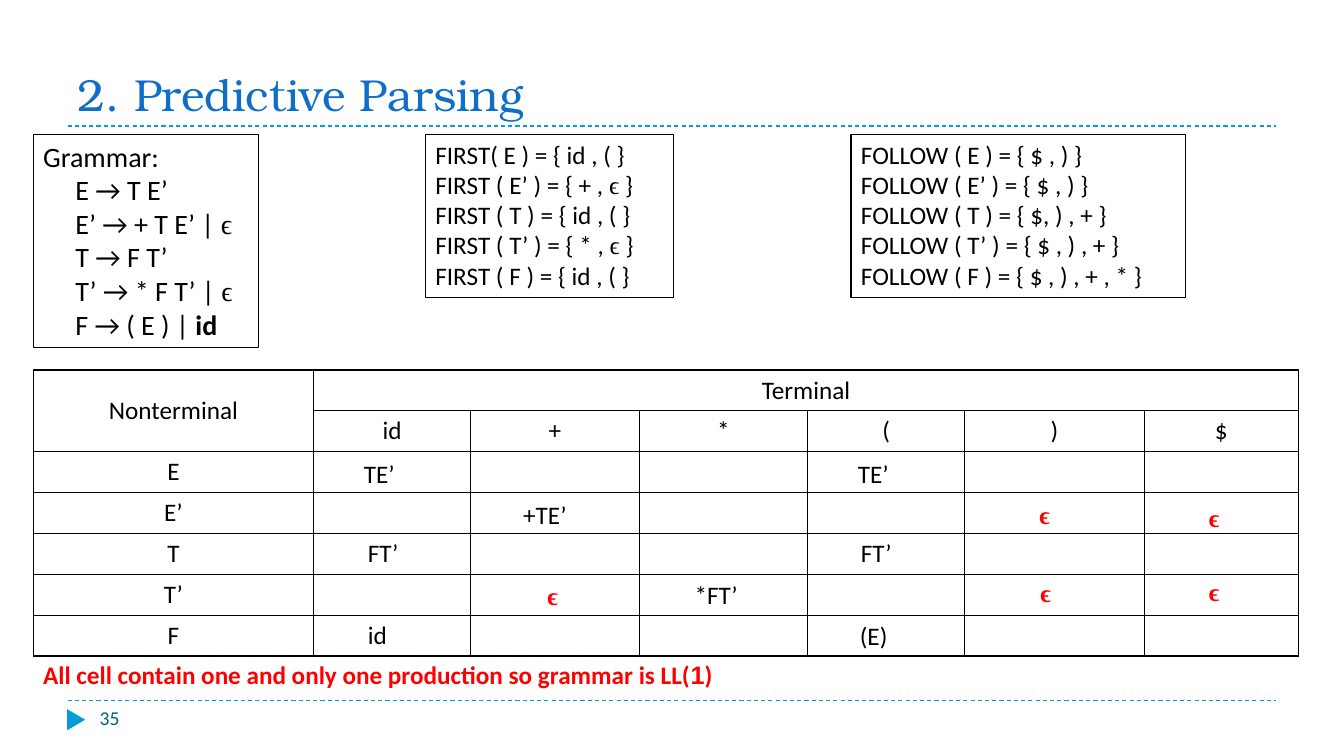
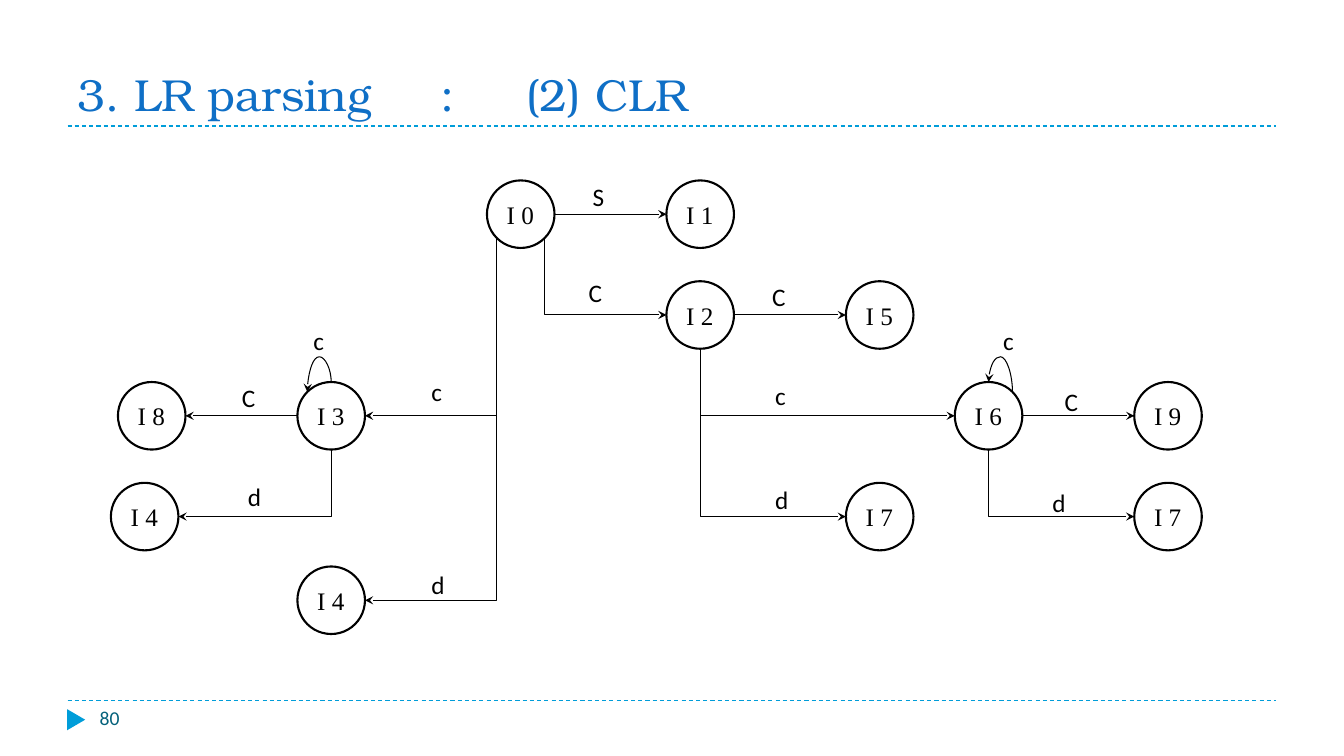
from dataclasses import dataclass
from enum import IntEnum
from math import cos, pi, sin
from typing import NamedTuple

from lxml.etree import SubElement
from pptx import Presentation
from pptx.dml.color import RGBColor
from pptx.enum.dml import MSO_LINE
from pptx.enum.shapes import MSO_CONNECTOR, MSO_SHAPE
from pptx.enum.text import MSO_ANCHOR, MSO_AUTO_SIZE, PP_ALIGN
from pptx.oxml.ns import qn
from pptx.presentation import Presentation as Deck
from pptx.shapes.autoshape import Shape
from pptx.shapes.connector import Connector
from pptx.slide import Slide, SlideLayout
from pptx.table import _Cell as Cell
from pptx.text.text import _Paragraph as Paragraph
from pptx.util import Inches, Pt


@dataclass(frozen=True)
class Theme:
    title: RGBColor = RGBColor(0x0F, 0x6F, 0xC6)
    accent: RGBColor = RGBColor(0x00, 0x9D, 0xD9)
    page: RGBColor = RGBColor(0x04, 0x61, 0x7B)
    ink: RGBColor = RGBColor(0, 0, 0)
    alert: RGBColor = RGBColor(0xFF, 0, 0)
    paper: RGBColor = RGBColor(0xFF, 0xFF, 0xFF)
    title_font: str = "TeX Gyre Bonum"
    body_font: str = "Calibri"
    symbol_font: str = "Times New Roman"
    digit_font: str = "Arial"
    title_size: int = 32
    large_size: int = 20
    body_size: int = 18
    page_size: int = 14


THEME = Theme()


class Span(NamedTuple):
    text: str
    font: str | None = None
    bold: bool | None = None


class Site(IntEnum):
    """Connection sites of an ellipse, counterclockwise from the top."""
    TOP = 0
    TOP_LEFT = 1
    LEFT = 2
    BOTTOM_LEFT = 3
    BOTTOM = 4
    RIGHT = 6
    BOTTOM_RIGHT = 5
    TOP_RIGHT = 7


@dataclass(frozen=True)
class Panel:
    lines: list[list[Span]]
    left: float
    width: float
    height: float
    size: int = THEME.body_size
    indent: float = 0


@dataclass(frozen=True)
class Label:
    text: str
    left: float
    top: float


@dataclass(frozen=True)
class State:
    text: str
    left: float
    top: float


@dataclass(frozen=True)
class Edge:
    start: str
    start_site: Site
    end: str
    end_site: Site
    label: Label | None
    preset: str = "line"
    bend: int | None = None


EPSILON = Span("ϵ", THEME.symbol_font)

# Slide 1 content
GRAMMAR = [
    [Span("Grammar:")],
    [Span("E → T E’")],
    [Span("E’ → + T E’ | "), EPSILON],
    [Span("T → F T’")],
    [Span("T’ → * F T’ | "), EPSILON],
    [Span("F → ( E ) | "), Span("id", bold=True)],
]
FIRST = [
    [Span("FIRST( E ) = { id , ( }")],
    [Span("FIRST ( E’ ) = { + , "), EPSILON, Span(" }")],
    [Span("FIRST ( T ) = { id , ( }")],
    [Span("FIRST ( T’ ) = { * , "), EPSILON, Span(" }")],
    [Span("FIRST ( F ) = { id , ( }")],
]
FOLLOW = [[Span(f"FOLLOW ( {symbol} ) = {{ {members} }}")] for symbol, members in (
    ("E", "$ , )"), ("E’", "$ , )"), ("T", "$, ) , +"),
    ("T’", "$ , ) , +"), ("F", "$ , ) , + , *"))]
PANELS = [
    Panel(GRAMMAR, 0.33, 2.23, 2.12, THEME.large_size, 0.32),
    Panel(FIRST, 4.22, 2.46, 1.62),
    Panel(FOLLOW, 8.44, 3.32, 1.62),
]
TERMINALS = ["id", "+", "*", "(", ")", "$"]
NONTERMINALS = ["E", "E’", "T", "T’", "F"]
COLUMN_WIDTHS = [2.78, 1.56, 1.67, 1.67, 1.56, 1.78, 1.53]
TABLE_HEIGHT = 2.84
ENTRIES = [
    Label("TE’", 3.51, 4.5), Label("TE’", 8.41, 4.5), Label("+TE’", 5.09, 4.9),
    Label("ϵ", 10.21, 4.9), Label("ϵ", 11.89, 4.93),
    Label("FT’", 3.55, 5.28), Label("FT’", 8.44, 5.28),
    Label("ϵ", 5.33, 5.71), Label("*FT’", 6.79, 5.7),
    Label("ϵ", 10.22, 5.68), Label("ϵ", 11.89, 5.67),
    Label("id", 3.55, 6.09), Label("(E)", 8.43, 6.1),
]
CONCLUSION = [Span("All cell contain one and only one production so grammar is LL("),
              Span("1", THEME.digit_font), Span(")")]
LABEL_WIDTHS = {"TE’": 0.54, "+TE’": 0.68, "FT’": 0.53, "*FT’": 0.63, "id": 0.39,
                "(E)": 0.49, "ϵ": 0.32, "S": 0.32, "C": 0.38, "c": 0.31, "d": 0.33}

# Slide 2 content
STATE_SIZE = 0.67
STATES = {
    "0": State("I 0", 4.83, 1.79), "1": State("I 1", 6.61, 1.79),
    "2": State("I 2", 6.61, 2.79), "5": State("I 5", 8.39, 2.79),
    "6": State("I 6", 9.47, 3.79), "7 middle": State("I 7", 8.39, 4.79),
    "9": State("I 9", 11.25, 3.79), "7 right": State("I 7", 11.25, 4.79),
    "8": State("I 8", 1.17, 3.79), "3": State("I 3", 2.95, 3.79),
    "4 left": State("I 4", 1.1, 4.79), "4 bottom": State("I 4", 2.95, 5.62),
}
ELBOW, LOOP = "bentConnector2", "curvedConnector3"
EDGES = [
    Edge("0", Site.RIGHT, "1", Site.LEFT, Label("S", 5.78, 1.75)),
    Edge("0", Site.BOTTOM_RIGHT, "2", Site.LEFT, Label("C", 5.74, 2.7), ELBOW),
    Edge("0", Site.BOTTOM_LEFT, "3", Site.RIGHT, Label("c", 4.18, 3.68), ELBOW),
    Edge("0", Site.BOTTOM_LEFT, "4 bottom", Site.RIGHT, Label("d", 4.18, 5.6), ELBOW),
    Edge("2", Site.RIGHT, "5", Site.LEFT, Label("C", 7.56, 2.74)),
    Edge("2", Site.BOTTOM, "6", Site.LEFT, Label("c", 7.59, 3.72), ELBOW),
    Edge("2", Site.BOTTOM, "7 middle", Site.LEFT, Label("d", 7.59, 4.76), ELBOW),
    Edge("6", Site.RIGHT, "9", Site.LEFT, Label("C", 10.46, 3.78)),
    Edge("6", Site.BOTTOM, "7 right", Site.LEFT, Label("d", 10.34, 4.79), ELBOW),
    Edge("6", Site.TOP_RIGHT, "6", Site.TOP, Label("c", 9.85, 3.18), LOOP, 356100),
    Edge("3", Site.LEFT, "8", Site.RIGHT, Label("C", 2.3, 3.74)),
    Edge("3", Site.BOTTOM, "4 left", Site.RIGHT, Label("d", 2.36, 4.73), ELBOW),
    Edge("3", Site.TOP, "3", Site.TOP_LEFT, Label("c", 3.01, 3.18), LOOP, -256100),
]


# Text helpers
def style(paragraph: Paragraph, size: int = THEME.body_size, color: RGBColor = THEME.ink,
          font: str = THEME.body_font, bold: bool = False) -> None:
    paragraph.font.name = font
    paragraph.font.size = Pt(size)
    paragraph.font.bold = bold
    paragraph.font.color.rgb = color


def add_spans(paragraph: Paragraph, spans: list[Span]) -> None:
    for span in spans:
        run = paragraph.add_run()
        run.text = span.text
        if span.font:
            run.font.name = span.font
        if span.bold:
            run.font.bold = True


def add_text(slide: Slide, spans: list[Span], left: float, top: float, width: float,
             **look) -> Shape:
    box = slide.shapes.add_textbox(Inches(left), Inches(top), Inches(width), Inches(0.4))
    paragraph = box.text_frame.paragraphs[0]
    add_spans(paragraph, spans)
    style(paragraph, **look)
    return box


def add_label(slide: Slide, label: Label) -> None:
    look = {"color": THEME.alert, "font": THEME.symbol_font, "bold": True} if label.text == "ϵ" else {}
    box = add_text(slide, [Span(label.text)], label.left, label.top,
                   LABEL_WIDTHS[label.text], **look)
    box.text_frame.word_wrap = False
    box.text_frame.auto_size = MSO_AUTO_SIZE.SHAPE_TO_FIT_TEXT


# Shared frame
def clear_shadow(connector: Connector) -> None:
    SubElement(connector.element.spPr, qn("a:effectLst"))


def furnish_layout(layout: SlideLayout, slide: Slide) -> None:
    """Draw the rules and the page marker, then hand them to the layout."""
    marker = slide.shapes.add_shape(MSO_SHAPE.ISOSCELES_TRIANGLE, Inches(0.65), Inches(7.05),
                                    Inches(0.21), Inches(0.18))
    marker.rotation = 90
    marker.shadow.inherit = False
    marker.fill.solid()
    marker.fill.fore_color.rgb = THEME.accent
    marker.line.fill.background()
    layout.shapes.element.append(marker.element)
    for top in (1.25, 6.95):
        rule = slide.shapes.add_connector(MSO_CONNECTOR.STRAIGHT, Inches(0.67), Inches(top),
                                          Inches(12.66), Inches(top))
        rule.line.color.rgb = THEME.accent
        rule.line.width = Pt(0.75)
        rule.line.dash_style = MSO_LINE.DASH
        clear_shadow(rule)
        layout.shapes.element.append(rule.element)


def add_slide(presentation: Deck, title: str, page: str, tabs: tuple[float, ...] = ()) -> Slide:
    slide = presentation.slides.add_slide(presentation.slide_layouts[5])
    shape = slide.shapes.title
    shape.left, shape.top, shape.width, shape.height = map(Inches, (0.67, 0.25, 12, 1))
    frame = shape.text_frame
    frame.text = title
    frame.vertical_anchor = MSO_ANCHOR.BOTTOM
    frame.auto_size = MSO_AUTO_SIZE.NONE
    paragraph = frame.paragraphs[0]
    paragraph.alignment = PP_ALIGN.LEFT
    if tabs:
        stops = SubElement(paragraph._p.get_or_add_pPr(), qn("a:tabLst"))
        for position in tabs:
            SubElement(stops, qn("a:tab"), pos=str(Inches(position)), algn="l")
    style(paragraph, THEME.title_size, THEME.title, THEME.title_font)
    add_text(slide, [Span(page)], 0.89, 6.95, 2.89, size=THEME.page_size, color=THEME.page)
    return slide


# Predictive parsing
def add_panel(slide: Slide, panel: Panel) -> None:
    box = slide.shapes.add_textbox(Inches(panel.left), Inches(1.33),
                                   Inches(panel.width), Inches(panel.height))
    box.line.color.rgb = THEME.ink
    box.line.width = Pt(0.75)
    frame = box.text_frame
    frame.word_wrap = True
    for index, spans in enumerate(panel.lines):
        paragraph = frame.add_paragraph() if index else frame.paragraphs[0]
        if index and panel.indent:
            paragraph._p.get_or_add_pPr().set("marL", str(Inches(panel.indent)))
        add_spans(paragraph, spans)
        style(paragraph, panel.size)


def format_cell(cell: Cell) -> None:
    properties = cell._tc.get_or_add_tcPr()
    for side in ("lnL", "lnR", "lnT", "lnB"):
        border = SubElement(properties, qn(f"a:{side}"), w=str(Pt(1)))
        SubElement(SubElement(border, qn("a:solidFill")), qn("a:srgbClr"), val=str(THEME.ink))
    cell.fill.solid()
    cell.fill.fore_color.rgb = THEME.paper
    cell.margin_left = cell.margin_right = Inches(0.13)
    paragraph = cell.text_frame.paragraphs[0]
    paragraph.alignment = PP_ALIGN.CENTER
    style(paragraph)


def add_parsing_table(slide: Slide) -> None:
    row_count = len(NONTERMINALS) + 2
    table = slide.shapes.add_table(row_count, len(COLUMN_WIDTHS), Inches(0.33), Inches(3.67),
                                   Inches(sum(COLUMN_WIDTHS)), Inches(TABLE_HEIGHT)).table
    table.first_row = table.horz_banding = False
    for column, width in zip(table.columns, COLUMN_WIDTHS):
        column.width = Inches(width)
    table.cell(0, 0).text = "Nonterminal"
    table.cell(0, 1).text = "Terminal"
    for index, terminal in enumerate(TERMINALS, 1):
        table.cell(1, index).text = terminal
    for index, nonterminal in enumerate(NONTERMINALS, 2):
        table.cell(index, 0).text = nonterminal
    for cell in table.iter_cells():
        format_cell(cell)
    for column, corner in ((0, (1, 0)), (1, (0, len(TERMINALS)))):
        table.cell(0, column).merge(table.cell(*corner))
        table.cell(0, column).vertical_anchor = MSO_ANCHOR.MIDDLE


# State diagram
def add_state(slide: Slide, state: State) -> Shape:
    shape = slide.shapes.add_shape(MSO_SHAPE.OVAL, Inches(state.left), Inches(state.top),
                                   Inches(STATE_SIZE), Inches(STATE_SIZE))
    shape.shadow.inherit = False
    shape.fill.solid()
    shape.fill.fore_color.rgb = THEME.paper
    shape.line.color.rgb = THEME.ink
    shape.line.width = Pt(1.5)
    shape.text_frame.word_wrap = False
    shape.text_frame.text = state.text
    style(shape.text_frame.paragraphs[0], font=THEME.symbol_font)
    return shape


def site_point(shape: Shape, site: Site) -> tuple[int, int]:
    angle, radius = site * pi / 4, shape.width / 2
    return (round(shape.left + radius - radius * sin(angle)),
            round(shape.top + radius - radius * cos(angle)))


def turn_upright(connector: Connector, edge: Edge, start: tuple[int, int],
                 end: tuple[int, int]) -> None:
    """Turn a bent or curved connector so that it leaves its start vertically."""
    across, down = end[0] - start[0], end[1] - start[1]
    transform = connector.element.spPr.find(qn("a:xfrm"))
    for flip in ("flipH", "flipV"):
        transform.attrib.pop(flip, None)
    connector.width, connector.height = abs(down), abs(across)
    connector.left = (start[0] + end[0] - abs(down)) // 2
    connector.top = (start[1] + end[1] - abs(across)) // 2
    quarter_turns = 1 if across < 0 < down else 3
    transform.set("rot", str(quarter_turns * 5400000))
    if quarter_turns == 3:
        transform.set("flipH" if down > 0 else "flipV", "1")
    geometry = connector.element.spPr.find(qn("a:prstGeom"))
    geometry.set("prst", edge.preset)
    if edge.bend is not None:
        SubElement(geometry.find(qn("a:avLst")), qn("a:gd"), name="adj1", fmla=f"val {edge.bend}")


def add_edge(slide: Slide, edge: Edge, shapes: dict[str, Shape]) -> None:
    ends = ((shapes[edge.start], edge.start_site), (shapes[edge.end], edge.end_site))
    start, end = (site_point(*item) for item in ends)
    connector = slide.shapes.add_connector(MSO_CONNECTOR.STRAIGHT, *start, *end)
    if edge.preset != "line":
        turn_upright(connector, edge, start, end)
    joints = connector.element.nvCxnSpPr.cNvCxnSpPr
    for tag, (shape, site) in zip(("a:stCxn", "a:endCxn"), ends):
        SubElement(joints, qn(tag), id=str(shape.shape_id), idx=str(int(site)))
    connector.line.color.rgb = THEME.ink
    connector.line.width = Pt(0.75)
    SubElement(connector.line._get_or_add_ln(), qn("a:tailEnd"), type="stealth")
    clear_shadow(connector)
    if edge.label:
        add_label(slide, edge.label)


def main() -> None:
    presentation = Presentation()
    presentation.slide_width, presentation.slide_height = Inches(13.33), Inches(7.5)

    parsing = add_slide(presentation, "2. Predictive Parsing", "35")
    furnish_layout(presentation.slide_layouts[5], parsing)
    for panel in PANELS:
        add_panel(parsing, panel)
    add_parsing_table(parsing)
    for entry in ENTRIES:
        add_label(parsing, entry)
    add_text(parsing, CONCLUSION, 0.33, 6.49, 7.9, color=THEME.alert, bold=True)

    diagram = add_slide(presentation, "3. LR parsing\t:\t(2) CLR", "80", (3.6, 4.45))
    shapes = {name: add_state(diagram, state) for name, state in STATES.items()}
    for edge in EDGES:
        add_edge(diagram, edge, shapes)

    presentation.save("out.pptx")


if __name__ == "__main__":
    main()
